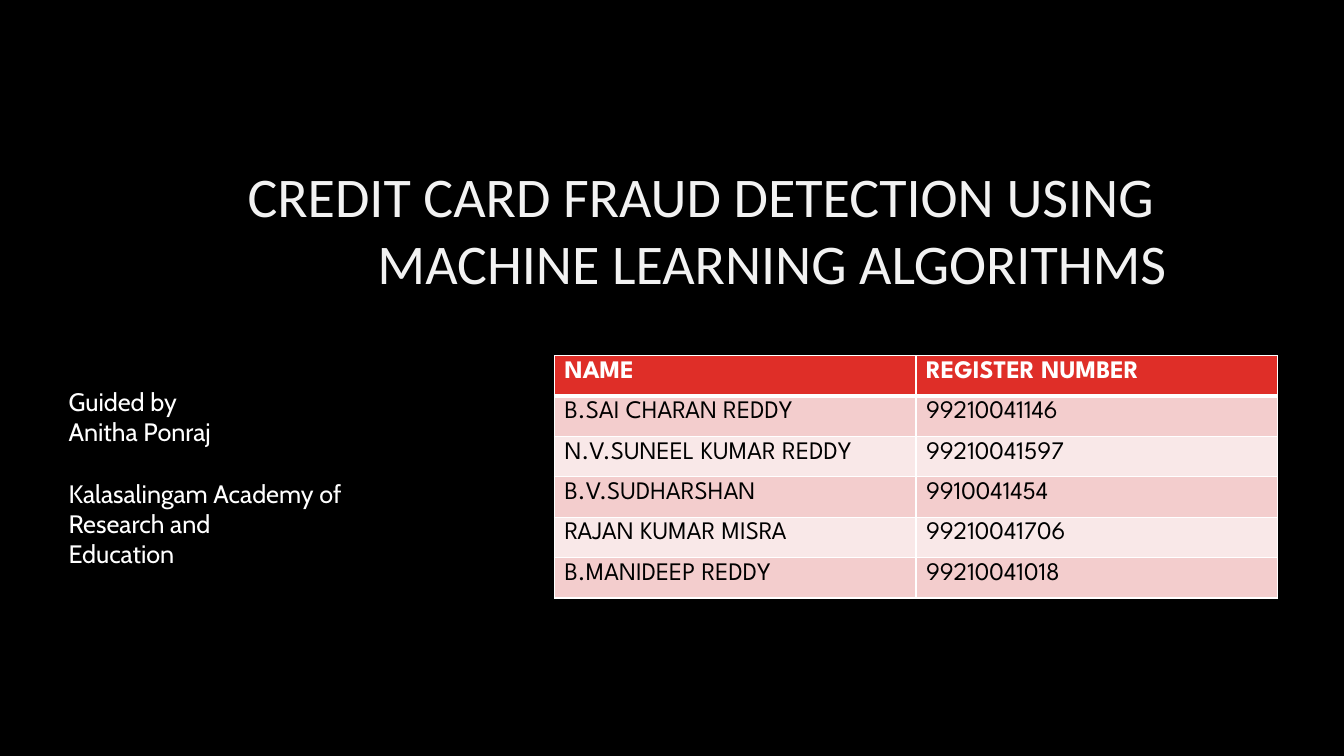
import pptx
import pptx.dml.color
import pptx.enum.text
import pptx.oxml.ns
import pptx.util
from dataclasses import dataclass
from lxml import etree
from pptx.util import Inches


@dataclass(frozen=True)
class Theme:
    background: str = "000000"
    title: str = "F2F2F2"
    light: str = "FFFFFF"
    dark: str = "000000"
    header: str = "DF2E28"
    bands: tuple = ("F3CDCD", "F9E8E8")
    title_font: str = "Calibri"
    body_font: str = "Cabin"
    table_font: str = "League Spartan"
    title_size: float = 40
    body_size: float = 18


THEME = Theme()
MEMBERS = [
    ("NAME", "REGISTER NUMBER"),
    ("B.SAI CHARAN REDDY", "99210041146"),
    ("N.V.SUNEEL KUMAR REDDY", "99210041597"),
    ("B.V.SUDHARSHAN", "9910041454"),
    ("RAJAN KUMAR MISRA", "99210041706"),
    ("B.MANIDEEP REDDY", "99210041018"),
]


def rgb(value):
    return pptx.dml.color.RGBColor.from_string(value)


def write(paragraph, text, *, font, size, color, bold=False, align=None, before=0):
    paragraph.text = text
    paragraph.alignment = align
    paragraph.space_before = pptx.util.Pt(before)
    for run in paragraph.runs:
        run.font.name = font
        run.font.size = pptx.util.Pt(size)
        run.font.bold = bold
        run.font.color.rgb = rgb(color)


def add_text_frame(slide, left, top, width, height):
    frame = slide.shapes.add_textbox(
        Inches(left), Inches(top), Inches(width), Inches(height)).text_frame
    frame.word_wrap = True
    frame.margin_left = frame.margin_right = frame.margin_bottom = 0
    frame.margin_top = Inches(0.01)
    return frame


def add_title(slide):
    frame = add_text_frame(slide, 0.42, 1.58, 11.15, 1.36)
    frame.vertical_anchor = pptx.enum.text.MSO_ANCHOR.MIDDLE
    write(frame.paragraphs[0],
          "CREDIT CARD FRAUD DETECTION USING \vMACHINE LEARNING ALGORITHMS",
          font=THEME.title_font, size=THEME.title_size, color=THEME.title,
          align=pptx.enum.text.PP_ALIGN.RIGHT)


def add_guide(slide):
    frame = add_text_frame(slide, 0.68, 3.82, 4.42, 1.54)
    lines = [("Guided by", 0), ("Anitha Ponraj", 0),
             ("Kalasalingam Academy of\vResearch and", 22.5), ("Education", 0)]
    for index, (text, before) in enumerate(lines):
        paragraph = frame.add_paragraph() if index else frame.paragraphs[0]
        write(paragraph, text, font=THEME.body_font, size=THEME.body_size,
              color=THEME.light, before=before)


def set_borders(cell, **widths):
    properties = cell._tc.get_or_add_tcPr()
    for side in "LRTB":
        line = etree.SubElement(properties, pptx.oxml.ns.qn(f"a:ln{side}"),
                                w=str(pptx.util.Pt(widths.get(side, 1))))
        fill = etree.SubElement(line, pptx.oxml.ns.qn("a:solidFill"))
        etree.SubElement(fill, pptx.oxml.ns.qn("a:srgbClr"), val=THEME.light)


def add_members_table(slide):
    table = slide.shapes.add_table(
        len(MEMBERS), 2, Inches(5.5), Inches(3.53), Inches(7.17), Inches(2.4)).table
    for row, values in enumerate(MEMBERS):
        is_header = row == 0
        for column, value in enumerate(values):
            cell = table.cell(row, column)
            # A thick rule separates the header from the members
            set_borders(cell, T=3 if row == 1 else 1, B=3 if is_header else 1)
            cell.fill.solid()
            cell.fill.fore_color.rgb = rgb(
                THEME.header if is_header else THEME.bands[(row - 1) % 2])
            write(cell.text_frame.paragraphs[0], value, font=THEME.table_font,
                  size=THEME.body_size, bold=is_header,
                  color=THEME.light if is_header else THEME.dark)


def main():
    deck = pptx.Presentation()
    deck.slide_width, deck.slide_height = Inches(13.33), Inches(7.5)
    slide = deck.slides.add_slide(deck.slide_layouts[6])
    slide.background.fill.solid()
    slide.background.fill.fore_color.rgb = rgb(THEME.background)

    # Title, guide on the left, members on the right
    add_title(slide)
    add_guide(slide)
    add_members_table(slide)
    deck.save("out.pptx")


if __name__ == "__main__":
    main()
